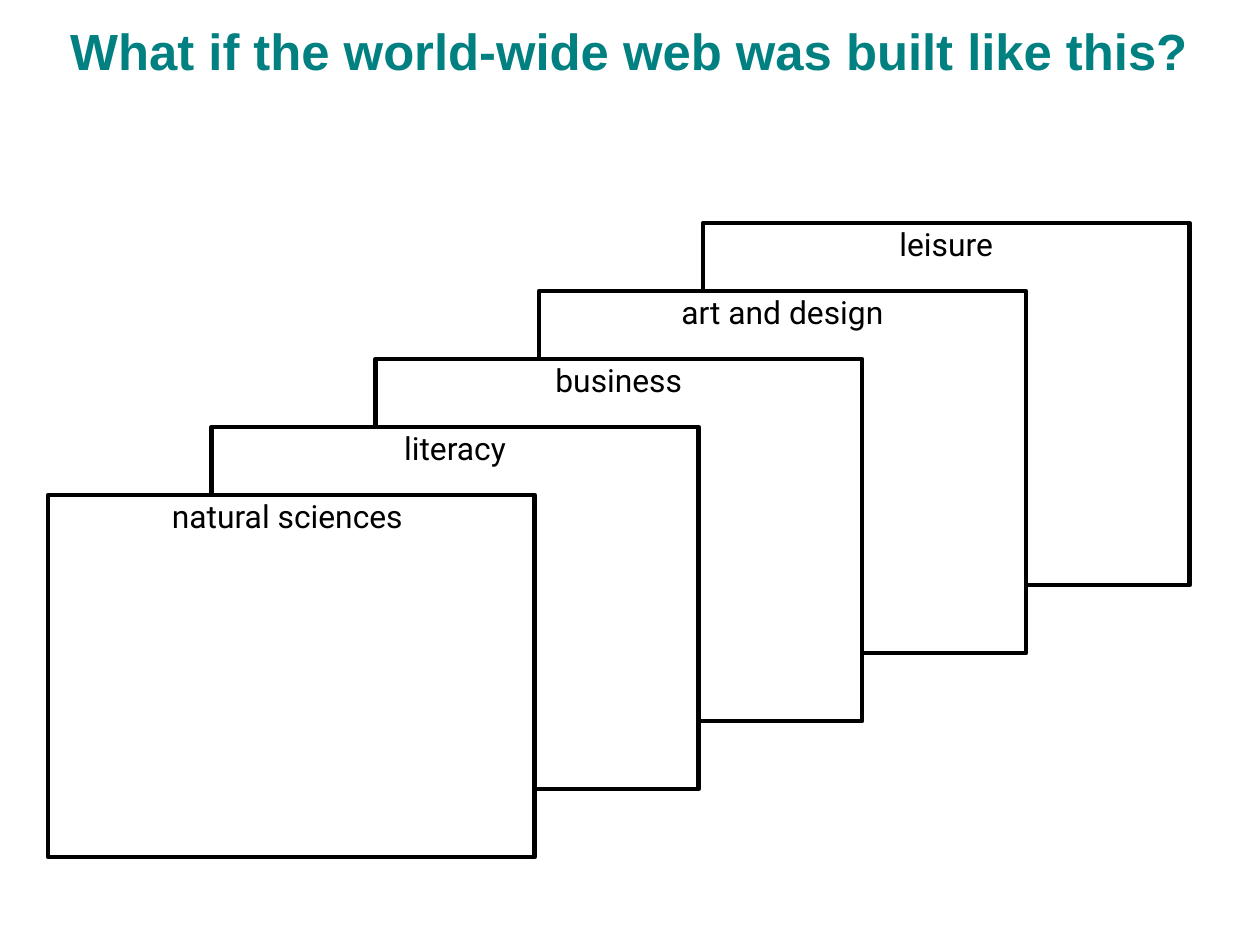
from pptx import Presentation
from pptx.dml.color import RGBColor
from pptx.enum import shapes, text
from pptx.util import Pt

TITLE = "What if the world-wide web was built like this?"
# Cards from back to front
CARDS = ["leisure", "art and design", "business", "literacy", "natural sciences "]

TEAL = RGBColor(0x00, 0x80, 0x80)
BLACK = RGBColor(0x00, 0x00, 0x00)
WHITE = RGBColor(0xFF, 0xFF, 0xFF)

SLIDE_WIDTH, SLIDE_HEIGHT = 793.7, 595.28
TITLE_BOX = (39.6, 1.1, 714.2, 60.5)
BACK_LEFT, BACK_TOP = 442.8, 140.5
STEP_LEFT, STEP_TOP = -103.14, 42.82
CARD_WIDTH, CARD_HEIGHT = 306.6, 228.2

TITLE_FONT = {"name": "Arial", "size": Pt(32), "bold": True}
CARD_FONT = {"name": "Roboto", "size": Pt(20), "bold": False}


def write_text(shape, words, font_values, color, anchor, margin, wrap):
    frame = shape.text_frame
    frame_values = {"word_wrap": wrap, "vertical_anchor": anchor}
    for side in ("left", "top", "right", "bottom"):
        frame_values["margin_" + side] = Pt(margin)
    for name, value in frame_values.items():
        setattr(frame, name, value)
    paragraph = frame.paragraphs[0]
    paragraph.alignment = text.PP_ALIGN.CENTER
    run = paragraph.add_run()
    run.text = words
    for name, value in font_values.items():
        setattr(run.font, name, value)
    run.font.color.rgb = color


presentation = Presentation()
presentation.slide_width = Pt(SLIDE_WIDTH)
presentation.slide_height = Pt(SLIDE_HEIGHT)
slide = presentation.slides.add_slide(presentation.slide_layouts[6])

# Title
title = slide.shapes.add_textbox(*map(Pt, TITLE_BOX))
write_text(title, TITLE, TITLE_FONT, TEAL, text.MSO_ANCHOR.MIDDLE, 0, True)

# Cascade of overlapping cards
for index, topic in enumerate(CARDS):
    left = BACK_LEFT + index * STEP_LEFT
    top = BACK_TOP + index * STEP_TOP
    card = slide.shapes.add_shape(
        shapes.MSO_SHAPE.RECTANGLE,
        Pt(left), Pt(top), Pt(CARD_WIDTH), Pt(CARD_HEIGHT))
    card.shadow.inherit = False
    card.fill.solid()
    card.fill.fore_color.rgb = WHITE
    card.line.color.rgb = BLACK
    card.line.width = Pt(2.83)
    write_text(card, topic, CARD_FONT, BLACK, text.MSO_ANCHOR.TOP, 1.4, False)

presentation.save("out.pptx")
